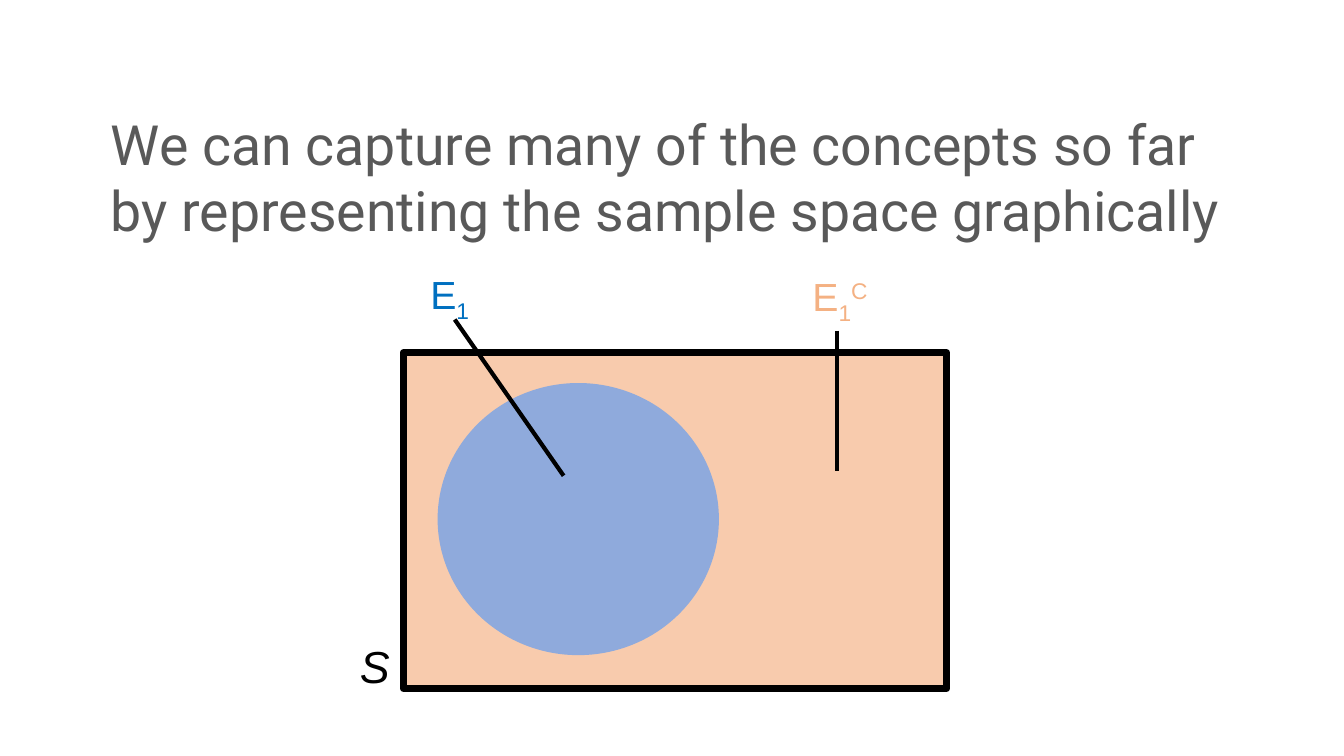
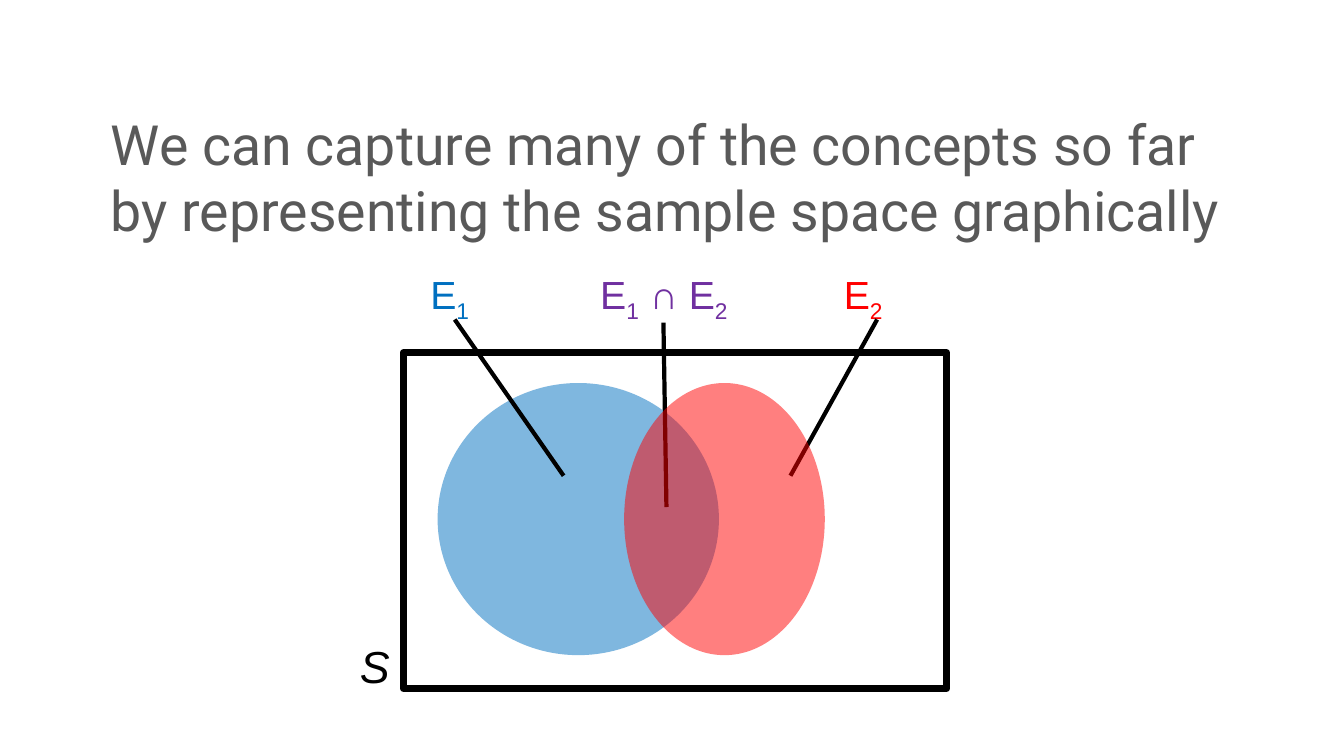
import pptx
import pptx.dml.color
import pptx.enum.shapes
import pptx.enum.text
import pptx.oxml
import pptx.oxml.ns
import pptx.util

Inches = pptx.util.Inches
Pt = pptx.util.Pt
RGBColor = pptx.dml.color.RGBColor
SHAPE = pptx.enum.shapes.MSO_SHAPE
ALIGN = pptx.enum.text.PP_ALIGN
qn = pptx.oxml.ns.qn

BLACK = RGBColor(0x00, 0x00, 0x00)
GRAY = RGBColor(0x59, 0x59, 0x59)
PEACH = RGBColor(0xF8, 0xCB, 0xAD)
ORANGE = RGBColor(0xF4, 0xB1, 0x83)
PERIWINKLE = RGBColor(0x8F, 0xAA, 0xDC)
BLUE = RGBColor(0x00, 0x70, 0xC0)
RED = RGBColor(0xFF, 0x00, 0x00)
PURPLE = RGBColor(0x70, 0x30, 0xA0)

TITLE = "We can capture many of the concepts so far by representing the sample space graphically"
SUB, SUP = -25, 30
E1 = [("E", 0), ("1", SUB)]
E2 = [("E", 0), ("2", SUB)]
E1_C = E1 + [("C", SUP)]
E1_AND_E2 = E1 + [(" ∩ E", 0), ("2", SUB)]


class VennDeck:
    """Build Venn diagram slides in one shared style."""

    def __init__(self):
        self.prs = pptx.Presentation()
        self.prs.slide_width = Inches(13.33)
        self.prs.slide_height = Inches(7.5)
        self.s = None

    def add_slide(self, title):
        self.s = self.prs.slides.add_slide(self.prs.slide_layouts[5])
        sp = self.s.shapes.title
        sp.left, sp.top = Inches(1), Inches(1)
        sp.width, sp.height = Inches(11.5), Inches(1.5)
        tf = sp.text_frame
        tf.text = title
        tf.word_wrap = True
        tf.auto_size = pptx.enum.text.MSO_AUTO_SIZE.NONE
        tf.vertical_anchor = pptx.enum.text.MSO_ANCHOR.MIDDLE
        p = tf.paragraphs[0]
        p.alignment = ALIGN.LEFT
        self.style(p, "Roboto", 39.6, GRAY)

    def style(self, p, name, size, color, italic=False):
        p.font.name = name
        p.font.size = Pt(size)
        p.font.color.rgb = color
        p.font.italic = italic

    def shape(self, kind, x, y, w, h, fill=None):
        sp = self.s.shapes.add_shape(kind, Inches(x), Inches(y), Inches(w), Inches(h))
        sp.shadow.inherit = False
        sp.line.fill.background()
        if fill is None:
            sp.fill.background()
        else:
            sp.fill.solid()
            sp.fill.fore_color.rgb = fill
        return sp

    def sample_space(self, fill=None):
        sp = self.shape(SHAPE.RECTANGLE, 4, 3.5, 5.39, 3.33, fill)
        sp.line.color.rgb = BLACK
        sp.line.width = Pt(5)
        self.label([("S", 0)], 3.47, 6.29, 0.6, BLACK, size=32, italic=True)

    def event(self, x, w, fill, opacity=100):
        sp = self.shape(SHAPE.OVAL, x, 3.8, w, 2.7, fill)
        if opacity < 100:
            color = sp.fill._xPr.find(qn("a:solidFill"))[0]
            alpha = pptx.oxml.parse_xml(
                '<a:alpha xmlns:a="http://schemas.openxmlformats.org/drawingml/2006/main"'
                f' val="{opacity * 1000}"/>')
            color.append(alpha)

    def label(self, parts, x, y, w, color, size=28, italic=False, align=ALIGN.LEFT):
        sp = self.s.shapes.add_textbox(Inches(x), Inches(y), Inches(w), Inches(size / 50))
        tf = sp.text_frame
        tf.word_wrap = True
        p = tf.paragraphs[0]
        p.alignment = align
        self.style(p, "Arial", size, color, italic)
        for text, baseline in parts:
            r = p.add_run()
            r.text = text
            if baseline:
                r.font._element.set("baseline", str(baseline * 1000))

    def pointer(self, x1, y1, x2, y2):
        line = self.s.shapes.add_connector(
            pptx.enum.shapes.MSO_CONNECTOR.STRAIGHT,
            Inches(x1), Inches(y1), Inches(x2), Inches(y2))
        line.line.color.rgb = BLACK
        line.line.width = Pt(3)
        line._element.spPr.append(pptx.oxml.parse_xml(
            '<a:effectLst xmlns:a="http://schemas.openxmlformats.org/drawingml/2006/main"/>'))

    def first_event(self, fill, opacity=100):
        self.event(4.34, 2.79, fill, opacity)
        self.label(E1, 4.17, 2.63, 0.65, BLUE)
        self.pointer(4.51, 3.17, 5.59, 4.72)


def main():
    deck = VennDeck()

    deck.add_slide(TITLE)
    deck.sample_space(PEACH)
    deck.first_event(PERIWINKLE)
    deck.label(E1_C, 7.96, 2.65, 0.85, ORANGE)
    deck.pointer(8.3, 3.28, 8.3, 4.67)

    deck.add_slide(TITLE)
    deck.sample_space()
    deck.first_event(BLUE, 50)
    deck.label(E1_AND_E2, 5.52, 2.63, 2.13, PURPLE, align=ALIGN.CENTER)
    deck.pointer(6.58, 3.2, 6.61, 5.03)
    deck.label(E2, 8.27, 2.63, 0.68, RED)
    deck.pointer(8.7, 3.17, 7.84, 4.72)
    deck.event(6.19, 1.99, RED, 50)

    deck.prs.save("out.pptx")


if __name__ == "__main__":
    main()
